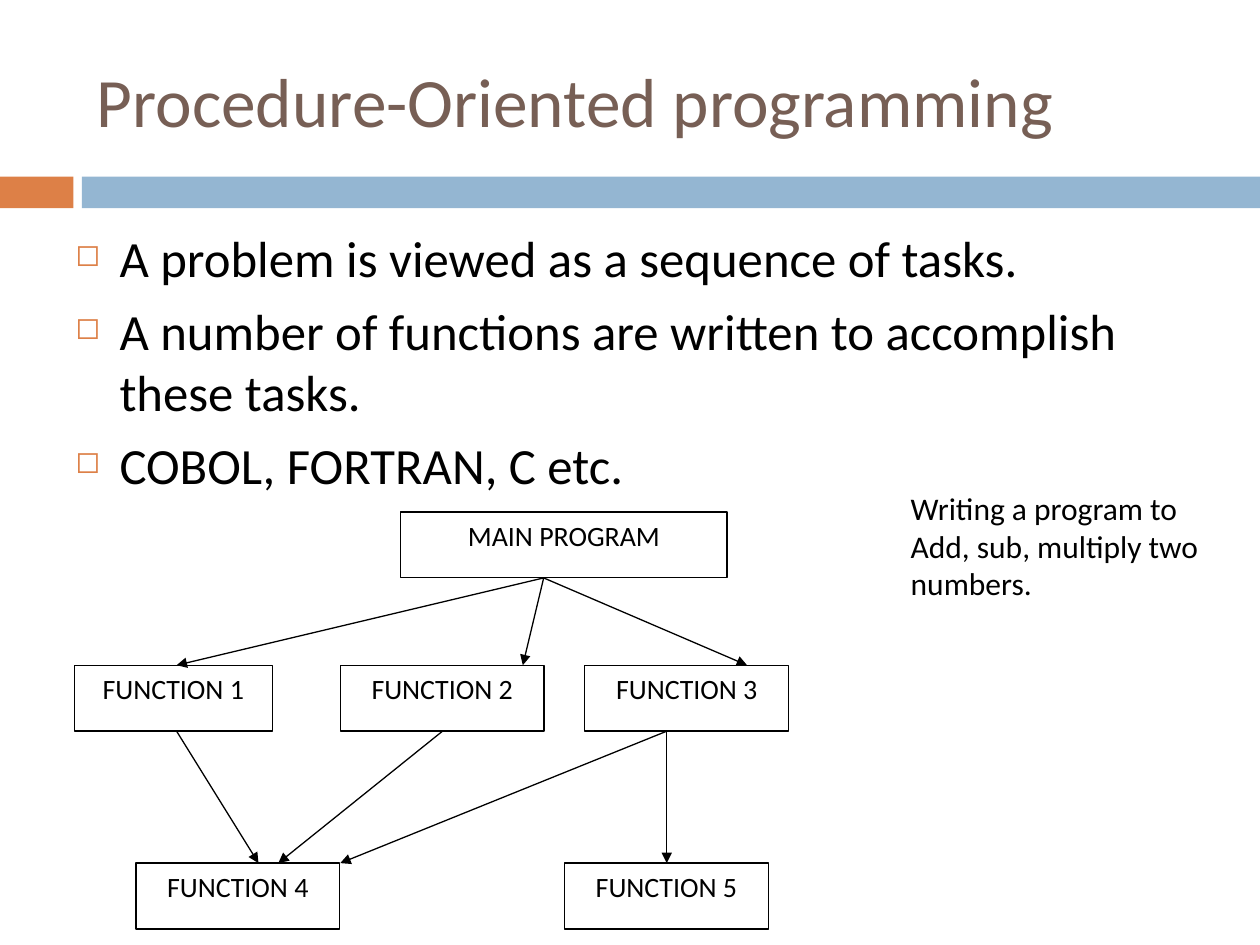
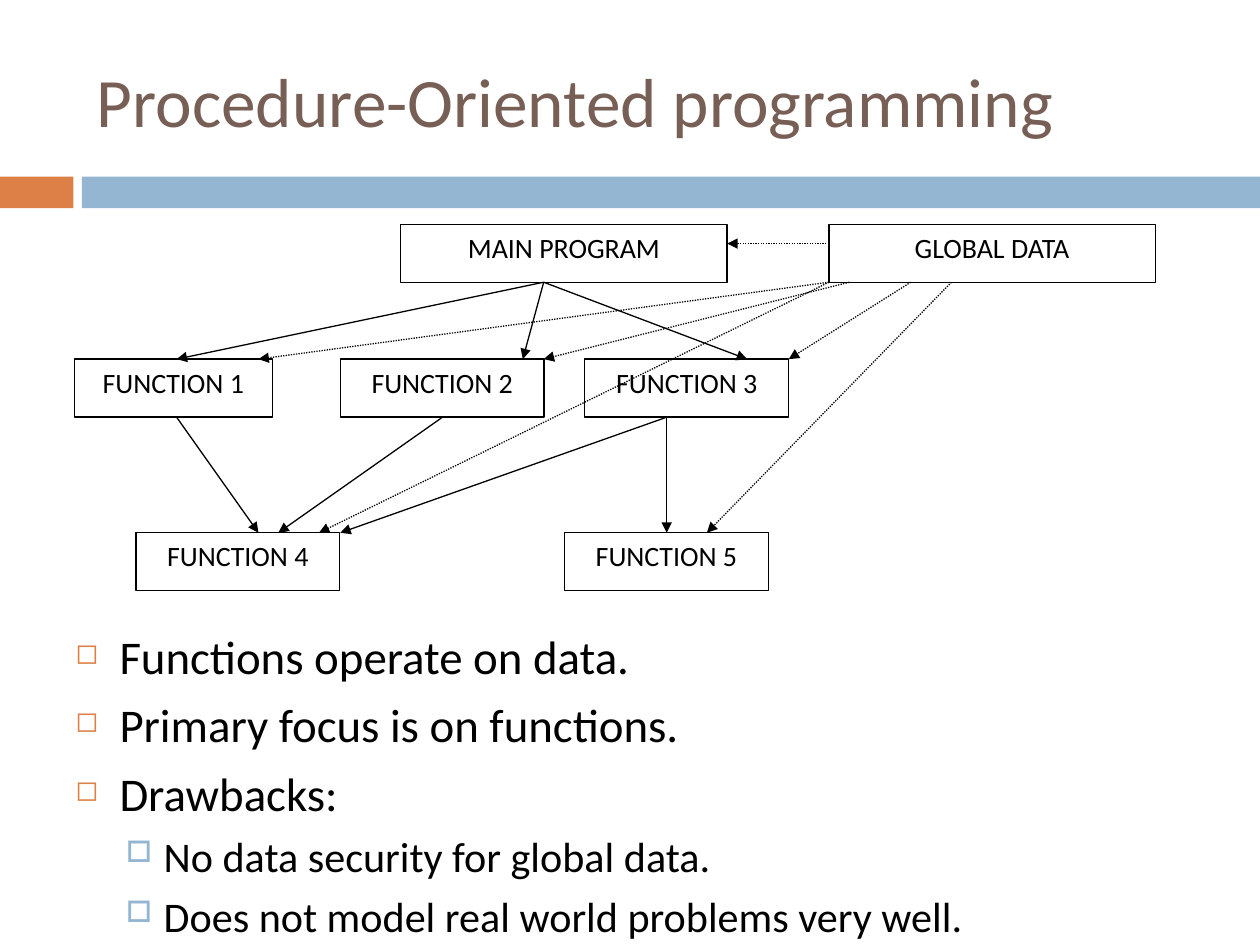
from dataclasses import dataclass
from typing import Any

from lxml.etree import SubElement
from pptx import Presentation
from pptx.dml.color import RGBColor
from pptx.enum.dml import MSO_LINE
from pptx.enum.shapes import MSO_CONNECTOR, MSO_SHAPE
from pptx.enum.text import MSO_ANCHOR, MSO_AUTO_SIZE, PP_ALIGN
from pptx.oxml.ns import qn
from pptx.slide import Slide
from pptx.util import Cm, Pt

FONT = "Calibri"
BLACK, WHITE = "000000", "FFFFFF"
BROWN, ORANGE, BLUE = "775F55", "DD8047", "94B6D2"
TITLE = "Procedure-Oriented programming"


@dataclass
class Box:
    label: str
    x: float
    width: float
    row: int


@dataclass
class Arrow:
    """Runs from the bottom of one row of boxes to the top of another."""
    x1: float
    row1: int
    x2: float
    row2: int
    dotted: bool = False


@dataclass
class Rows:
    tops: tuple[float, ...]
    height: float

    def bottom(self, row: int) -> float:
        return self.tops[row] + self.height


@dataclass
class Bullet:
    mark: str
    color: str
    percent: int
    left: float
    hang: float
    before: float


LEVELS = (Bullet("◻", ORANGE, 60, 0.89, 0.89, 7),
          Bullet("□", BLUE, 70, 1.78, 0.76, 5.5))

# Call diagram, in cm
BOXES = [
    Box("MAIN PROGRAM", 8.08, 6.58, 0),
    Box("FUNCTION 1", 1.5, 3.99, 1),
    Box("FUNCTION 2", 6.86, 4.11, 1),
    Box("FUNCTION 3", 11.79, 4.11, 1),
    Box("FUNCTION 4", 2.74, 4.11, 2),
    Box("FUNCTION 5", 11.38, 4.11, 2),
]
CALLS = [
    Arrow(10.96, 0, 3.56, 1),
    Arrow(10.96, 0, 10.54, 1),
    Arrow(10.96, 0, 15.06, 1),
    Arrow(3.56, 1, 5.21, 2),
    Arrow(8.92, 1, 5.61, 2),
    Arrow(13.44, 1, 6.86, 2),
    Arrow(13.44, 1, 13.44, 2),
]
GLOBAL_DATA = Box("GLOBAL DATA", 16.71, 6.58, 0)
DATA_ACCESS = [
    Arrow(16.71, 0, 5.21, 1, dotted=True),
    Arrow(17.12, 0, 10.96, 1, dotted=True),
    Arrow(18.36, 0, 15.9, 1, dotted=True),
    Arrow(19.18, 0, 14.25, 2, dotted=True),
    Arrow(16.71, 0, 6.43, 2, dotted=True),
]


def rgb(color: str) -> RGBColor:
    return RGBColor.from_string(color)


def write(p: Any, text: str, *, size: float, color: str = BLACK,
          align: PP_ALIGN = PP_ALIGN.LEFT) -> None:
    p.alignment = align
    r = p.add_run()
    r.text = text
    r.font.name, r.font.size = FONT, Pt(size)
    r.font.color.rgb = rgb(color)


def add_rect(shapes: Any, x: float, y: float, w: float, h: float, fill: str) -> Any:
    sp = shapes.add_shape(MSO_SHAPE.RECTANGLE, Cm(x), Cm(y), Cm(w), Cm(h))
    sp.shadow.inherit = False
    sp.fill.solid()
    sp.fill.fore_color.rgb = rgb(fill)
    sp.line.fill.background()
    return sp


def add_text_box(s: Slide, x: float, y: float, w: float, h: float) -> Any:
    tf = s.shapes.add_textbox(Cm(x), Cm(y), Cm(w), Cm(h)).text_frame
    tf.word_wrap = True
    return tf


def next_paragraph(tf: Any, index: int) -> Any:
    return tf.add_paragraph() if index else tf.paragraphs[0]


def add_bullets(s: Slide, y: float, h: float, sizes: tuple[float, ...],
                items: list[tuple[int, str]]) -> None:
    tf = add_text_box(s, 1.27, y, 22.86, h)
    for i, (level, text) in enumerate(items):
        p = next_paragraph(tf, i)
        style = LEVELS[level]
        pPr = p._p.get_or_add_pPr()
        pPr.set("marL", str(Cm(style.left)))
        pPr.set("indent", str(-Cm(style.hang)))
        SubElement(SubElement(pPr, qn("a:buClr")), qn("a:srgbClr"), val=style.color)
        SubElement(pPr, qn("a:buSzPct"), val=str(style.percent * 1000))
        SubElement(pPr, qn("a:buChar"), char=style.mark)
        p.level = level
        if i:
            p.space_before = Pt(style.before)
        write(p, text, size=sizes[level])


def add_box(shapes: Any, box: Box, rows: Rows) -> None:
    sp = add_rect(shapes, box.x, rows.tops[box.row], box.width, rows.height, WHITE)
    sp.line.color.rgb = rgb(BLACK)
    sp.line.width = Pt(0.75)
    tf = sp.text_frame
    tf.vertical_anchor = MSO_ANCHOR.TOP
    write(tf.paragraphs[0], box.label, size=16, align=PP_ALIGN.CENTER)


def add_line(shapes: Any, x1: float, y1: float, x2: float, y2: float,
             dotted: bool) -> None:
    c = shapes.add_connector(MSO_CONNECTOR.STRAIGHT, Cm(x1), Cm(y1), Cm(x2), Cm(y2))
    c.line.color.rgb = rgb(BLACK)
    c.line.width = Pt(0.75)
    if dotted:
        c.line.dash_style = MSO_LINE.ROUND_DOT
    SubElement(c.line._get_or_add_ln(), qn("a:tailEnd"), type="triangle")
    SubElement(c._element.spPr, qn("a:effectLst"))


def add_diagram(shapes: Any, rows: Rows, boxes: list[Box], arrows: list[Arrow]) -> None:
    for box in boxes:
        add_box(shapes, box, rows)
    for a in arrows:
        add_line(shapes, a.x1, rows.bottom(a.row1), a.x2, rows.tops[a.row2], a.dotted)


def add_slide(prs: Any) -> Slide:
    s = prs.slides.add_slide(prs.slide_layouts[5])
    # Two-colour band
    add_rect(s.shapes, 0, 3.56, 1.48, 0.64, ORANGE)
    add_rect(s.shapes, 1.65, 3.56, 23.75, 0.64, BLUE)
    # Title
    title = s.shapes.title
    title.left, title.top, title.width, title.height = Cm(1.7), Cm(0.64), Cm(22.66), Cm(2.74)
    tf = title.text_frame
    tf.word_wrap, tf.auto_size = True, MSO_AUTO_SIZE.NONE
    tf.vertical_anchor = MSO_ANCHOR.MIDDLE
    write(tf.paragraphs[0], TITLE, size=39.6, color=BROWN)
    return s


def build_tasks_slide(prs: Any) -> None:
    s = add_slide(prs)
    add_bullets(s, 4.45, 6.07, (29,), [
        (0, "A problem is viewed as a sequence of tasks."),
        (0, "A number of functions are written to accomplish these tasks."),
        (0, "COBOL, FORTRAN, C etc."),
    ])
    add_diagram(s.shapes, Rows((10.32, 13.41, 17.4), 1.33), BOXES, CALLS)
    # Example beside the diagram
    tf = add_text_box(s, 18.11, 9.73, 6.4, 2.57)
    for i, text in enumerate(("Writing a program to", "Add, sub, multiply two numbers.")):
        write(next_paragraph(tf, i), text, size=18)


def build_global_data_slide(prs: Any) -> None:
    s = add_slide(prs)
    add_bullets(s, 12.52, 5.99, (26.8, 24.1), [
        (0, "Functions operate on data."),
        (0, "Primary focus is on functions."),
        (0, "Drawbacks:"),
        (1, "No data security for global data."),
        (1, "Does not model real world problems very well."),
    ])
    shapes = s.shapes.add_group_shape().shapes
    add_diagram(shapes, Rows((4.52, 7.24, 10.74), 1.17),
                BOXES + [GLOBAL_DATA], CALLS + DATA_ACCESS)
    # Global data to main program
    main = BOXES[0]
    add_line(shapes, GLOBAL_DATA.x, 4.91, main.x + main.width, 4.91, dotted=True)


def main() -> None:
    prs = Presentation()
    prs.slide_width, prs.slide_height = Cm(25.4), Cm(19.05)
    build_tasks_slide(prs)
    build_global_data_slide(prs)
    prs.save("out.pptx")


if __name__ == "__main__":
    main()
